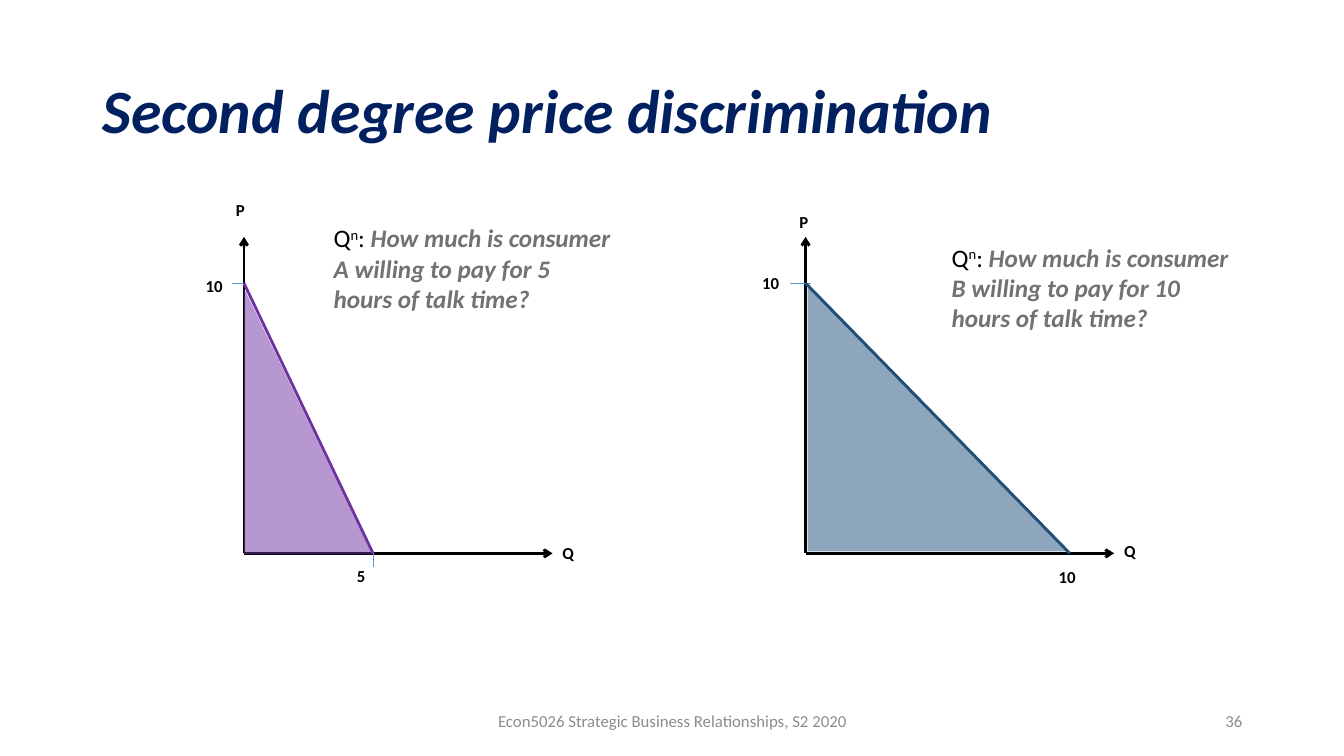
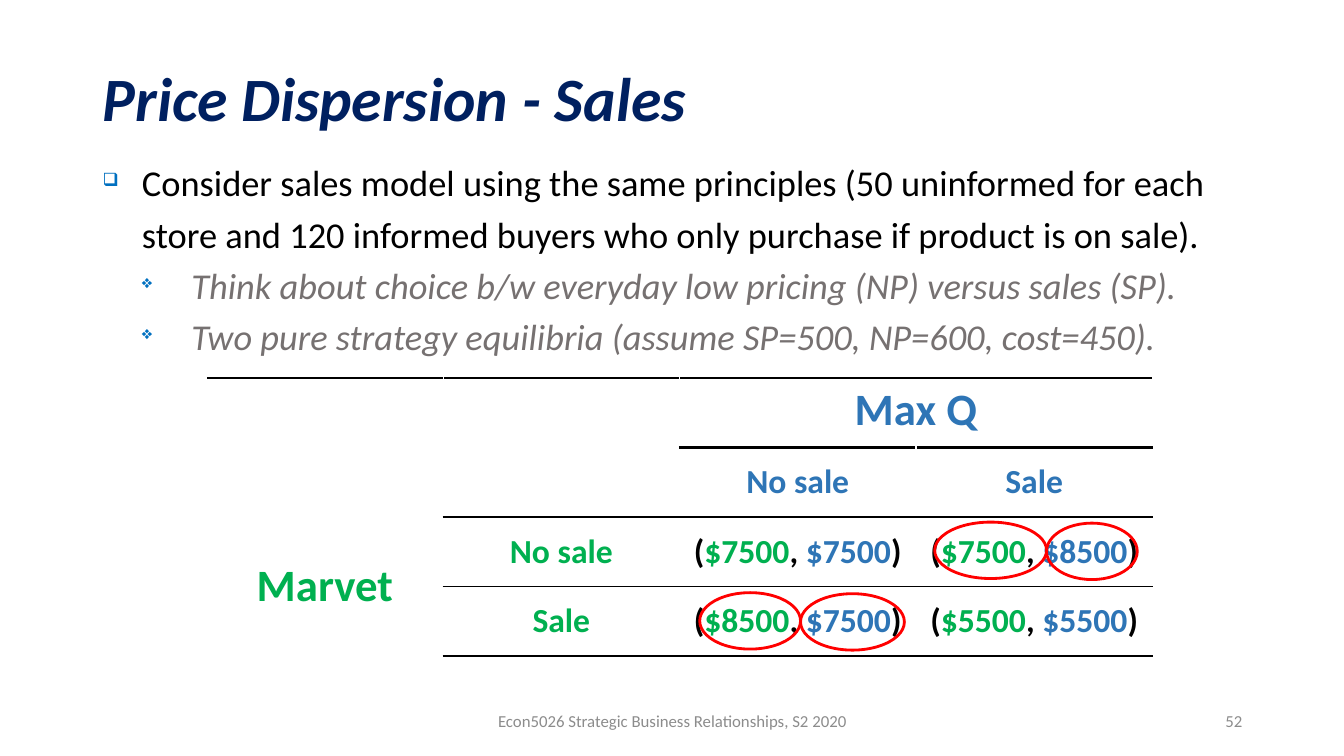
import pptx
import pptx.util
import pptx.dml.color
import pptx.enum.shapes
import pptx.enum.text
import pptx.oxml
import pptx.oxml.ns

PX = 9144  # one hundredth of an inch
FONT = "Calibri"
NAVY, BLACK, GREY, PALE = "002060", "000000", "767171", "8C8C8C"
PURPLE, STEEL, TICK = "7030A0", "1F4E79", "5B9BD5"
GREEN, BLUE, BULLET, RED = "00B050", "2E75B6", "0070C0", "FF0000"
FOOTER = "Econ5026 Strategic Business Relationships, S2 2020"

Pt = pptx.util.Pt
Shape = pptx.enum.shapes.MSO_SHAPE
Align = pptx.enum.text.PP_ALIGN
Anchor = pptx.enum.text.MSO_ANCHOR
NS = pptx.oxml.ns.nsdecls("a")


def px(*vals):
    return [pptx.util.Emu(v * PX) for v in vals]


def color(code):
    return pptx.dml.color.RGBColor.from_string(code)


def xml(text):
    """Parse one element of the drawing namespace."""
    tag, rest = text[3:].split(" ", 1)
    return pptx.oxml.parse_xml(f"<a:{tag} {NS} {rest}")


class Deck:
    def __init__(self):
        self.prs = pptx.Presentation()
        self.prs.slide_width, self.prs.slide_height = px(1333, 750)
        self.slide = None

    # Frame shared by all slides
    def page(self, title, number, depth):
        self.slide = self.prs.slides.add_slide(self.prs.slide_layouts[6])
        head = self.text((92, 40, 1150, depth), [(title, 44, NAVY, "bi")],
                         anchor=Anchor.MIDDLE)
        head.line_spacing = 0.9
        self.text((442, 695, 450, 40), [(FOOTER, 12, PALE, "")],
                  Align.CENTER, Anchor.MIDDLE)
        self.text((942, 695, 300, 40), [(str(number), 12, PALE, "")],
                  Align.RIGHT, Anchor.MIDDLE)

    # Text: a run is (words, size, color, style), style from b, i and ^
    def runs(self, para, parts):
        for words, size, code, style in parts:
            run = para.add_run()
            run.text = words
            font = run.font
            font.name, font.size = FONT, Pt(size)
            font.bold, font.italic = "b" in style, "i" in style
            font.color.rgb = color(code)
            if "^" in style:
                run._r.get_or_add_rPr().set("baseline", "30000")

    def box(self, rect, anchor=Anchor.TOP):
        frame = self.slide.shapes.add_textbox(*px(*rect)).text_frame
        frame.word_wrap = True
        frame.vertical_anchor = anchor
        return frame

    def text(self, rect, parts, align=Align.LEFT, anchor=Anchor.TOP):
        para = self.box(rect, anchor).paragraphs[0]
        para.alignment = align
        self.runs(para, parts)
        return para

    def list(self, rect, items):
        frame = self.box(rect)
        for i, (mark, left, hang, part) in enumerate(items):
            para = frame.add_paragraph() if i else frame.paragraphs[0]
            props = para._p.get_or_add_pPr()
            props.set("marL", str(left * PX))
            props.set("indent", str(-hang * PX))
            props.append(xml(f'<a:buClr ><a:srgbClr val="{BULLET}"/></a:buClr>'))
            props.append(xml('<a:buSzPct val="50000"/>'))
            props.append(xml(f'<a:buChar char="{mark}"/>'))
            para.line_spacing = 1.17
            self.runs(para, [part])

    # Lines and shapes
    def line(self, start, end, code, width, arrow=False):
        link = self.slide.shapes.add_connector(
            pptx.enum.shapes.MSO_CONNECTOR.STRAIGHT, *px(*start, *end))
        link.line.color.rgb = color(code)
        link.line.width = Pt(width)
        props = link._element.spPr
        if arrow:
            props.get_or_add_ln().append(xml('<a:tailEnd type="arrow"/>'))
        props.append(xml("<a:effectLst />"))

    def shape(self, kind, rect):
        item = self.slide.shapes.add_shape(kind, *px(*rect))
        item.shadow.inherit = False
        return item

    def wedge(self, rect, code):
        item = self.shape(Shape.RIGHT_TRIANGLE, rect)
        item.fill.solid()
        item.fill.fore_color.rgb = color(code)
        tint = item._element.spPr.find(".//" + pptx.oxml.ns.qn("a:srgbClr"))
        tint.append(xml('<a:alpha val="50000"/>'))
        item.line.fill.background()

    def ring(self, rect):
        item = self.shape(Shape.OVAL, rect)
        item.fill.background()
        item.line.color.rgb = color(RED)
        item.line.width = Pt(2)

    # Table: rules maps a row edge to (first ruled column, width)
    def table(self, rect, rows, cols, cells, merges, rules):
        grid = self.slide.shapes.add_table(rows, cols, *px(*rect)).table
        grid.first_row = grid.horz_banding = False
        for row in range(rows):
            for col in range(cols):
                cell = grid.cell(row, col)
                cell.fill.background()
                for side, edge in (("B", row + 1), ("T", row)):
                    first, width = rules[edge]
                    if col >= first:
                        cell._tc.get_or_add_tcPr().insert(0, xml(
                            f'<a:ln{side} w="{Pt(width)}"><a:solidFill>'
                            f'<a:srgbClr val="{BLACK}"/></a:solidFill></a:ln{side}>'))
        for start, end in merges:
            grid.cell(*start).merge(grid.cell(*end))
        for (row, col), parts in cells.items():
            cell = grid.cell(row, col)
            cell.vertical_anchor = Anchor.MIDDLE if row else Anchor.TOP
            para = cell.text_frame.paragraphs[0]
            para.alignment = Align.CENTER
            self.runs(para, parts)

    # Demand graph with axes, shaded area and labels
    def graph(self, left, cut, code, tick, area, labels):
        base, ten = 549, 281
        self.line((left, base), (left, 235), BLACK, 2, True)
        self.line((left, base), (left + 306, base), BLACK, 2, True)
        self.line((tick[0], ten), (tick[1], ten), TICK, 0.5)
        self.line((left, ten), (cut, base), code, 2)
        for words, x, y in labels:
            self.text((x, y, 42, 30), [(words, 12, BLACK, "b")])
        self.wedge(area, code)

    def ask(self, x, y, words):
        self.text((x, y, 295, 101), [
            ("Q", 18, BLACK, ""), ("n", 18, BLACK, "^"),
            (": ", 18, BLACK, ""), (words, 18, GREY, "bi")])


def pay(first, second):
    """Payoff pair, row player in green and column player in blue."""
    return [("(", 24, BLACK, "b"), (first, 24, GREEN, "b"),
            (", ", 24, BLACK, "b"), (second, 24, BLUE, "b"),
            (")", 24, BLACK, "b")]


def main():
    deck = Deck()

    # Demand of two consumers
    deck.page("Second degree price discrimination", 36, 145)
    deck.graph(242, 370, PURPLE, (242, 230), (242, 286, 127, 264),
               [("10", 194, 269), ("5", 344, 556), ("Q", 548, 534), ("P", 224, 193)])
    deck.line((370, 549), (370, 563), TICK, 0.5)
    deck.graph(799, 1061, STEEL, (804, 784), (801, 281, 260, 266),
               [("10", 746, 266), ("10", 1040, 557), ("Q", 1105, 532), ("P", 783, 205)])
    deck.ask(321, 216, "How much is consumer A willing to pay for 5 hours of talk time?")
    deck.ask(934, 235, "How much is consumer B willing to pay for 10 hours of talk time?")

    # Sales game
    deck.page("Price Dispersion - Sales", 52, 121)
    deck.list((92, 147, 1150, 528), [
        ("❑", 39, 39, ("Consider sales model using the same principles (50 uninformed "
                       "for each store and 120 informed buyers who only purchase if "
                       "product is on sale).", 26, BLACK, "")),
        ("❖", 88, 49, ("Think about choice b/w everyday low pricing (NP) versus "
                       "sales (SP).", 26, GREY, "i")),
        ("❖", 88, 49, ("Two pure strategy equilibria (assume SP=500, NP=600, "
                       "cost=450).", 26, GREY, "i"))])
    cells = {
        (0, 2): [("Max Q", 32, BLUE, "b")],
        (2, 0): [("Marvet", 32, GREEN, "b")],
        (2, 2): pay("$7500", "$7500"), (2, 3): pay("$7500", "$8500"),
        (3, 2): pay("$8500", "$7500"), (3, 3): pay("$5500", "$5500")}
    for i, words in enumerate(("No sale", "Sale")):
        cells[1, 2 + i] = [(words, 24, BLUE, "b")]
        cells[2 + i, 1] = [(words, 24, GREEN, "b")]
    deck.table((205, 375, 938, 276), 4, 4, cells,
               [((0, 2), (0, 3)), ((2, 0), (3, 0))],
               [(0, 2.25), (2, 2.25), (1, 2.25), (1, 1.5), (0, 2.25)])
    for x, y, width in ((1038, 519, 90), (794, 589, 103), (927, 518, 111), (694, 588, 100)):
        deck.ring((x, y, width, 56))

    deck.prs.save("out.pptx")


if __name__ == "__main__":
    main()
